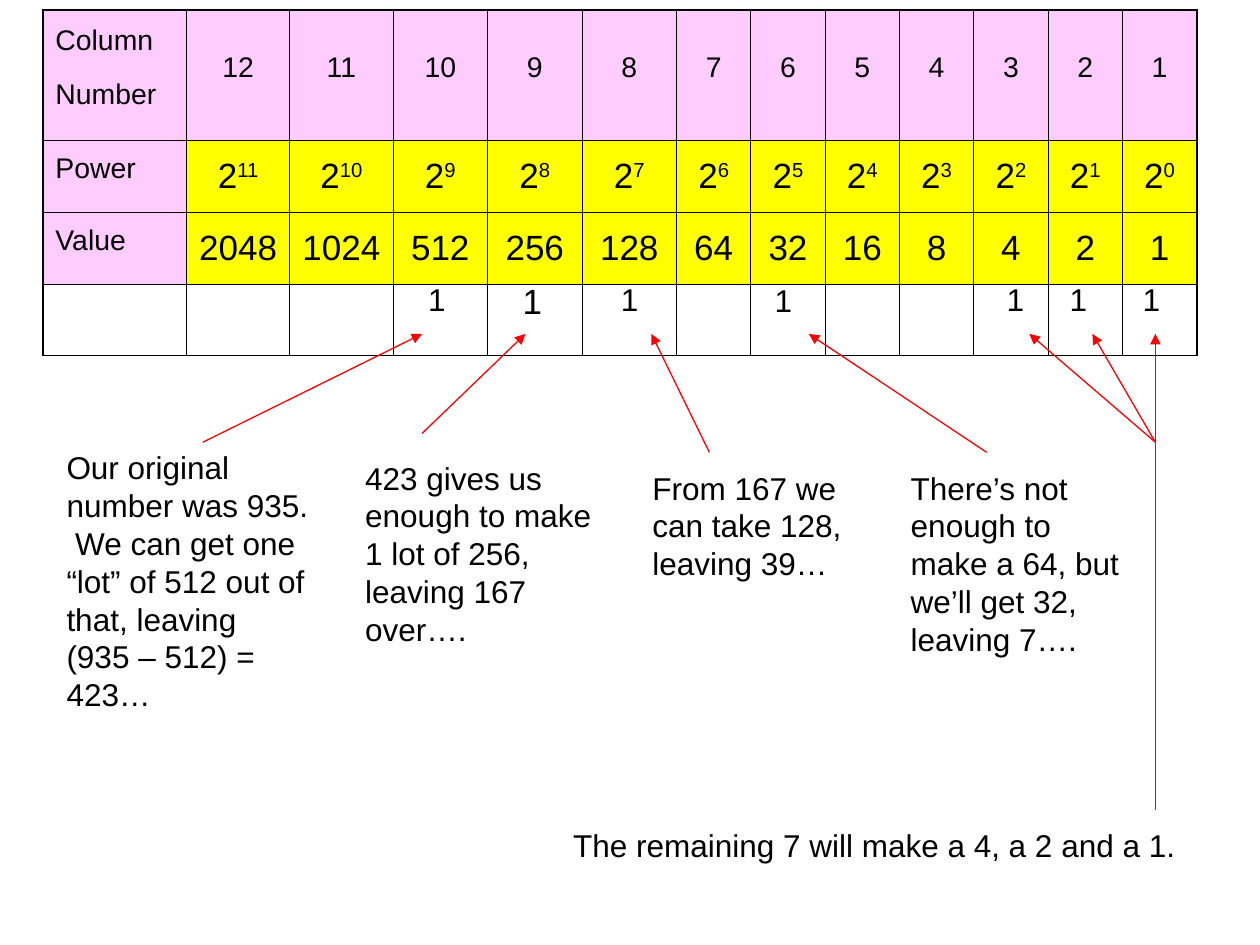
from pptx import Presentation
from pptx.dml.color import RGBColor
from pptx.enum.shapes import MSO_CONNECTOR
from pptx.enum.text import MSO_ANCHOR, MSO_AUTO_SIZE, PP_ALIGN
from pptx.oxml.ns import qn
from pptx.util import Inches, Pt
from lxml import etree

STRAIGHT = MSO_CONNECTOR.STRAIGHT
MIDDLE = MSO_ANCHOR.MIDDLE
LEFT, CENTER = PP_ALIGN.LEFT, PP_ALIGN.CENTER
GROW = MSO_AUTO_SIZE.SHAPE_TO_FIT_TEXT

BLACK = RGBColor(0, 0, 0)
WHITE = RGBColor(255, 255, 255)
PINK = RGBColor(0xFF, 0xCC, 0xFF)
YELLOW = RGBColor(0xFF, 0xFF, 0)
RED = RGBColor(0xFF, 0, 0)
THIN, THICK = 0.45, 1.08
SUPER = 30000

# Content
POWERS = list(range(11, -1, -1))
ROW_LABELS = ["Column Number", "Power", "Value", ""]
COL_WIDTHS = [1.14] + [0.82] * 2 + [0.75] * 3 + [0.59] * 7
ROW_HEIGHTS = [1.03] + [0.57] * 3

# left, top, width, height, paragraphs, wrap
NOTES = [
    (0.43, 3.51, 2.13, 2.2,
     ["Our original number was 935.  We can get one “lot” of 512 out of that, leaving",
      "(935 – 512) = 423…"], True),
    (2.8, 3.59, 2.12, 1.6,
     ["423 gives us enough to make 1 lot of 256, leaving 167 over…."], True),
    (5.08, 3.67, 1.97, 1.0, ["From 167 we can take 128, leaving 39…"], True),
    (7.13, 3.67, 1.97, 1.6,
     ["There’s not enough to make a 64, but we’ll get 32, leaving 7…."], True),
    (4.45, 6.51, 4.98, 0.4, ["The remaining 7 will make a 4, a 2 and a 1."], False),
]

# left, top, font size of each "1" in the bottom row
BITS = [(3.3, 2.17, 18), (4.05, 2.17, 20), (4.83, 2.17, 18), (6.05, 2.18, 18),
        (7.89, 2.17, 18), (8.39, 2.17, 18), (8.97, 2.17, 18)]

# start point and end x of each arrow
ARROW_TIP_Y = 2.65
JUNCTION = (9.17, 3.51)
ARROWS = [((1.61, 3.51), 3.35), ((3.35, 3.44), 4.17), ((5.63, 3.59), 5.17),
          ((7.83, 3.59), 6.42), (JUNCTION, 8.17), (JUNCTION, 8.67), (JUNCTION, 9.17)]


def write(p, text, size=18, baseline=0, align=LEFT):
    p.alignment = align
    r = p.add_run()
    r.text = text
    r.font.name = "Arial"
    r.font.size = Pt(size)
    r.font.color.rgb = BLACK
    if baseline:
        r.font._element.set("baseline", str(baseline))


def add_note(slide, left, top, width, height, paragraphs, wrap=True, size=18):
    tf = slide.shapes.add_textbox(Inches(left), Inches(top),
                                  Inches(width), Inches(height)).text_frame
    tf.word_wrap = wrap
    tf.auto_size = GROW
    for i, text in enumerate(paragraphs):
        write(tf.paragraphs[0] if i == 0 else tf.add_paragraph(), text, size=size)


def add_line(slide, start, end, arrow=True):
    line = slide.shapes.add_connector(STRAIGHT, *(Inches(v) for v in start + end))
    line.line.color.rgb = RED
    line.line.width = Pt(0.75)
    if arrow:
        etree.SubElement(line.line._get_or_add_ln(), qn("a:tailEnd"), type="triangle")
    etree.SubElement(line._element.spPr, qn("a:effectLst"))


def format_cell(cell, color, widths):
    cell.vertical_anchor = MIDDLE
    tc_pr = cell._tc.get_or_add_tcPr()
    for side, width in zip("LRTB", widths):
        ln = etree.SubElement(tc_pr, qn("a:ln" + side), w=str(Pt(width)))
        solid = etree.SubElement(ln, qn("a:solidFill"))
        etree.SubElement(solid, qn("a:srgbClr"), val=str(BLACK))
    cell.fill.solid()
    cell.fill.fore_color.rgb = color


def add_place_value_table(slide):
    n_rows, n_cols = len(ROW_HEIGHTS), len(COL_WIDTHS)
    table = slide.shapes.add_table(
        n_rows, n_cols, Inches(0.34), Inches(0.08),
        Inches(sum(COL_WIDTHS)), Inches(sum(ROW_HEIGHTS))).table
    for col, width in zip(table.columns, COL_WIDTHS):
        col.width = Inches(width)
    for row, height in zip(table.rows, ROW_HEIGHTS):
        row.height = Inches(height)

    for i in range(n_rows):
        for j in range(n_cols):
            cell = table.cell(i, j)
            if i == n_rows - 1:
                color = WHITE
            else:
                color = PINK if i == 0 or j == 0 else YELLOW
            format_cell(cell, color, (THICK if j == 0 else THIN,
                                      THICK if j == n_cols - 1 else THIN,
                                      THICK if i == 0 else THIN, THIN))
        if ROW_LABELS[i]:
            write(table.cell(i, 0).text_frame.paragraphs[0], ROW_LABELS[i],
                  size=28, baseline=SUPER)

    for j, power in enumerate(POWERS, start=1):
        number, base, value = (table.cell(i, j).text_frame.paragraphs[0] for i in range(3))
        write(number, str(power + 1), size=28, baseline=SUPER, align=CENTER)
        write(base, "2", size=20, align=CENTER)
        write(base, str(power), size=20, baseline=SUPER, align=CENTER)
        write(value, str(2 ** power), size=20, align=CENTER)


def main():
    prs = Presentation()
    prs.slide_width, prs.slide_height = Inches(10), Inches(7.5)
    slide = prs.slides.add_slide(prs.slide_layouts[6])

    # Explanations and the stem of the last arrows
    for note in NOTES:
        add_note(slide, *note)
    add_line(slide, (JUNCTION[0], 6.43), JUNCTION, arrow=False)

    # Place values, arrows and binary digits
    add_place_value_table(slide)
    for start, tip_x in ARROWS:
        add_line(slide, start, (tip_x, ARROW_TIP_Y))
    for left, top, size in BITS:
        add_note(slide, left, top, 0.45, 0.4, ["1"], size=size)

    prs.save("out.pptx")


if __name__ == "__main__":
    main()
